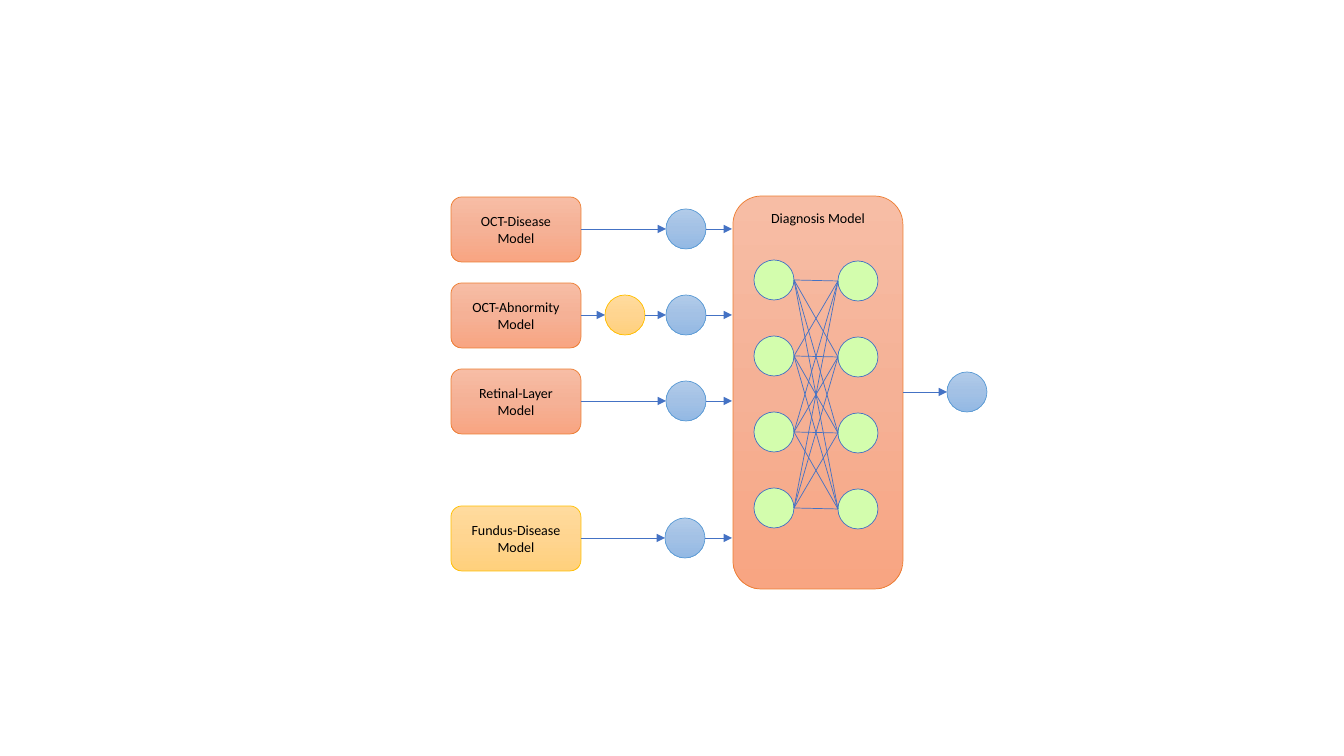
from copy import deepcopy
from itertools import product
from pptx import Presentation
from pptx.dml.color import RGBColor
from pptx.enum.shapes import MSO_CONNECTOR, MSO_SHAPE
from pptx.enum.text import MSO_ANCHOR, PP_ALIGN
from pptx.oxml.ns import qn
from pptx.util import Emu, Pt
from lxml.etree import SubElement

PX = 914400 / 100.8
THEME = {
    "orange": (["F7BDA5", "F5B196", "F8A582"], "ED7D31"),
    "gold": (["FFDB9E", "FFD590", "FFD07C"], "FFC000"),
    "blue": (["B1CBE9", "A3C1E5", "93B9E4"], "5B9BD5"),
    "green": (["D3FDAD"], "4472C4"),
    "link": "4472C4",
    "ink": "000000",
    "font": "Calibri",
    "size": 10,
    "line": 0.5,
}

deck = Presentation()
deck.slide_width = Emu(round(1344 * PX))
deck.slide_height = Emu(round(756 * PX))
slide = deck.slides.add_slide(deck.slide_layouts[6])


def add_node(kind, left, top, wide, high, tone, text="", anchor=MSO_ANCHOR.MIDDLE):
    area = [Emu(round(v * PX)) for v in (left, top, wide, high)]
    node = slide.shapes.add_shape(kind, *area)
    node.shadow.inherit = False
    hues, edge = THEME[tone]
    if len(hues) == 1:
        node.fill.solid()
        node.fill.fore_color.rgb = RGBColor.from_string(hues[0])
    else:
        node.fill.gradient()
        node.fill.gradient_angle = 270
        stops = node._element.spPr.find(qn("a:gradFill")).find(qn("a:gsLst"))
        stops.append(deepcopy(stops[0]))
        for stop, hue, place in zip(node.fill.gradient_stops, hues, (0, 0.5, 1)):
            stop.color.rgb = RGBColor.from_string(hue)
            stop.position = place
    node.line.color.rgb = RGBColor.from_string(edge)
    node.line.width = Pt(THEME["line"])
    if text:
        frame = node.text_frame
        frame.word_wrap = True
        frame.vertical_anchor = anchor
        para = frame.paragraphs[0]
        para.alignment = PP_ALIGN.CENTER
        run = para.add_run()
        run.text = text
        run.font.name = THEME["font"]
        run.font.size = Pt(THEME["size"])
        run.font.color.rgb = RGBColor.from_string(THEME["ink"])


def add_link(x1, y1, x2, y2, arrow=True):
    ends = [Emu(round(v * PX)) for v in (x1, y1, x2, y2)]
    link = slide.shapes.add_connector(MSO_CONNECTOR.STRAIGHT, *ends)
    link.line.color.rgb = RGBColor.from_string(THEME["link"])
    link.line.width = Pt(THEME["line"])
    if arrow:
        SubElement(link.line._get_or_add_ln(), qn("a:tailEnd"), type="triangle")
    SubElement(link._element.spPr, qn("a:effectLst"))


BALL = 40
HALF = BALL // 2
BOX = MSO_SHAPE.ROUNDED_RECTANGLE
DISC = MSO_SHAPE.OVAL

add_node(BOX, 733, 196, 170, 393, "orange", "Diagnosis Model", MSO_ANCHOR.TOP)

models = [
    ("OCT-Disease Model", 229, "orange", 666, []),
    ("OCT-Abnormity Model", 315, "orange", 666, [605]),
    ("Retinal-Layer Model", 401, "orange", 666, []),
    ("Fundus-Disease Model", 538, "gold", 665, []),
]
for name, mid, tone, ball, extra in models:
    add_node(BOX, 451, mid - 32, 130, 65, tone, name)
    start = 581
    for left in extra:
        add_node(DISC, left, mid - HALF, BALL, BALL, "gold")
        add_link(start, mid, left, mid)
        start = left + BALL
    add_node(DISC, ball, mid - HALF, BALL, BALL, "blue")
    add_link(start, mid, ball, mid)
    add_link(ball + BALL, mid, 732, mid)

lefts = [(774, 280 + 76 * row) for row in range(4)]
rights = [(858, 281 + 76 * row) for row in range(4)]
for x, y in lefts + rights:
    add_node(DISC, x - HALF, y - HALF, BALL, BALL, "green")
for (x1, y1), (x2, y2) in product(lefts, rights):
    add_link(x1 + HALF, y1, x2 - HALF, y2, arrow=False)

add_node(DISC, 947, 372, BALL, BALL, "blue")
add_link(903, 392, 947, 392)

deck.save("out.pptx")
